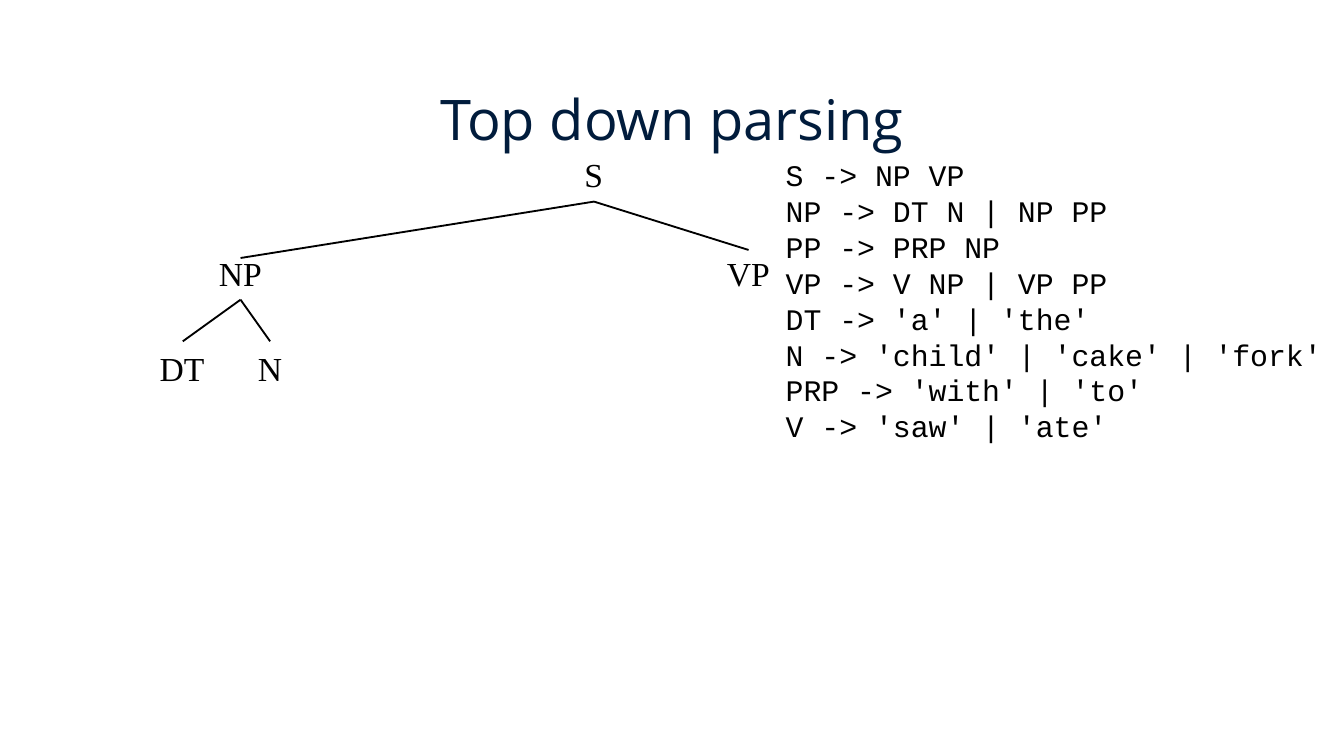
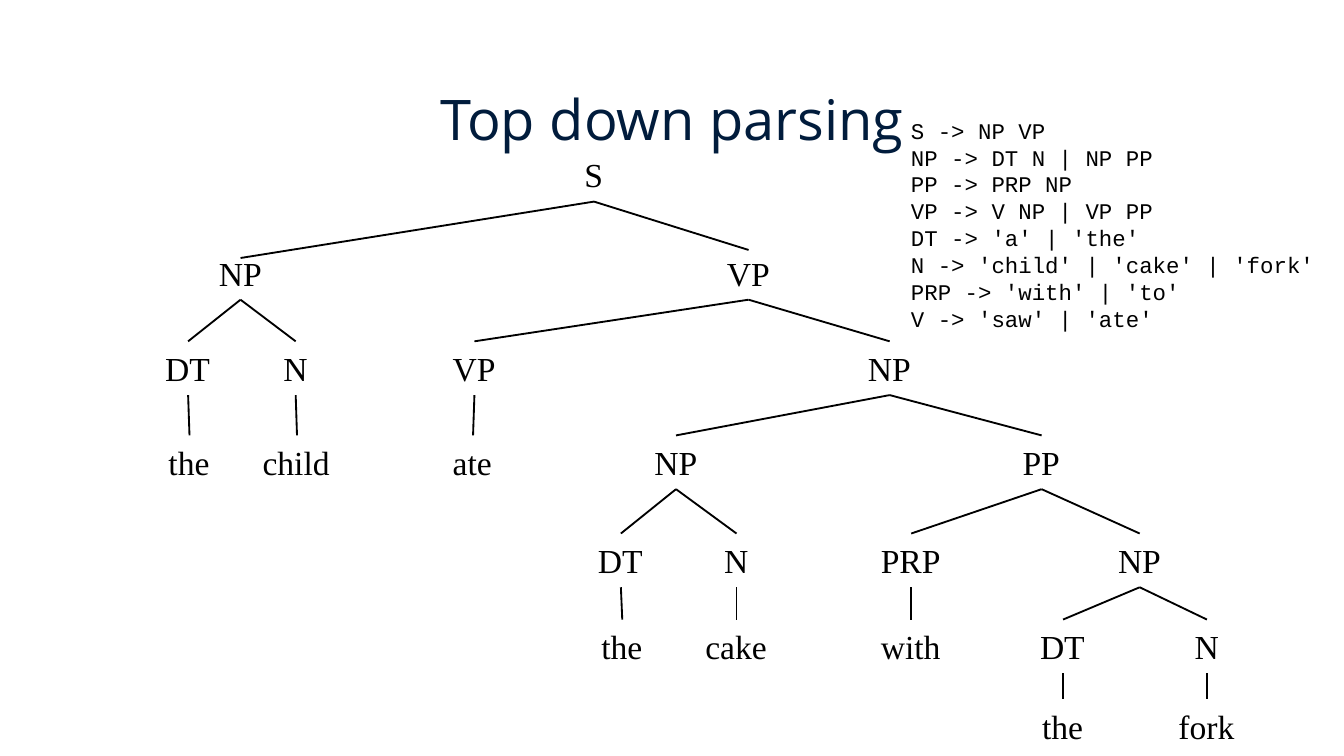
"""Build two slides that show top-down parsing with a growing syntax tree."""
from dataclasses import dataclass

from lxml import etree
from pptx import Presentation
from pptx import util as u
from pptx.dml.color import RGBColor
from pptx.enum import shapes, text
from pptx.oxml import ns


@dataclass(frozen=True)
class Theme:
    paper: RGBColor = RGBColor(0xFF, 0xFF, 0xFF)
    ink: RGBColor = RGBColor(0x00, 0x00, 0x00)
    navy: RGBColor = RGBColor(0x01, 0x1C, 0x3C)
    title_font: str = "Open Sans"
    tree_font: str = "Times New Roman"
    code_font: str = "Courier New"
    title_size: int = 30
    tree_size: int = 18
    branch_width: int = 1


theme = Theme()

SLIDE_WIDTH = 10
TITLE = "Top down parsing"
GRAMMAR = [
    "      S -> NP VP",
    "      NP -> DT N | NP PP",
    "      PP -> PRP NP",
    "      VP -> V NP | VP PP",
    "      DT -> 'a' | 'the'",
    "      N -> 'child' | 'cake' | 'fork'",
    "      PRP -> 'with' | 'to'",
    "      V -> 'saw' | 'ate'",
]

LEVEL_TOPS = [1.1, 1.83, 2.54, 3.24, 3.97, 4.61, 5.2]
NODE_HEIGHT = 0.4
NODE_WIDTHS = {
    "S": 0.34, "NP": 0.52, "VP": 0.52, "PP": 0.48, "DT": 0.54, "N": 0.38, "PRP": 0.65,
    "the": 0.51, "child": 0.71, "ate": 0.5, "cake": 0.66, "with": 0.65, "fork": 0.62,
}
BRANCH_OVERLAPS = {(1, "NP"): 0.09, (1, "VP"): 0.03}

# Each node is (label, centre, children).
first_tree = ("S", 4.42, [
    ("NP", 1.79, [("DT", 1.36, []), ("N", 2.01, [])]),
    ("VP", 5.57, []),
])
full_tree = ("S", 4.42, [
    ("NP", 1.79, [
        ("DT", 1.4, [("the", 1.41, [])]),
        ("N", 2.2, [("child", 2.21, [])]),
    ]),
    ("VP", 5.57, [
        ("VP", 3.53, [("ate", 3.52, [])]),
        ("NP", 6.62, [
            ("NP", 5.03, [
                ("DT", 4.62, [("the", 4.63, [])]),
                ("N", 5.48, [("cake", 5.48, [])]),
            ]),
            ("PP", 7.75, [
                ("PRP", 6.78, [("with", 6.78, [])]),
                ("NP", 8.48, [
                    ("DT", 7.91, [("the", 7.91, [])]),
                    ("N", 8.98, [("fork", 8.98, [])]),
                ]),
            ]),
        ]),
    ]),
])


def add_text(page, frame, lines, font, size, color, wrap=True, align=text.PP_ALIGN.LEFT):
    box = page.shapes.add_textbox(*[u.Inches(length) for length in frame])
    box.text_frame.word_wrap = wrap
    for index, line in enumerate(lines):
        para = box.text_frame.paragraphs[0] if index == 0 else box.text_frame.add_paragraph()
        para.alignment = align
        span = para.add_run()
        span.text = line
        span.font.name = font
        span.font.size = u.Pt(size)
        span.font.color.rgb = color
    return box


def add_node(page, node, depth=0, parent=None):
    label, centre, children = node
    top, width = LEVEL_TOPS[depth], NODE_WIDTHS[label]
    box = add_text(page, (centre - width / 2, top, width, NODE_HEIGHT), [label],
                   theme.tree_font, theme.tree_size, theme.ink, wrap=False)
    if parent is not None:
        overlap = BRANCH_OVERLAPS.get((depth, label), 0)
        branch = page.shapes.add_connector(
            shapes.MSO_CONNECTOR.STRAIGHT, parent.left, parent.top,
            u.Inches(centre), u.Inches(top + overlap))
        branch.begin_connect(parent, 2)
        if not overlap:
            branch.end_connect(box, 0)
        branch.line.color.rgb = theme.ink
        branch.line.width = u.Pt(theme.branch_width)
        etree.SubElement(branch._element.spPr, ns.qn("a:effectLst"))
    for child in children:
        add_node(page, child, depth + 1, box)


deck = Presentation()
deck.slide_width = u.Inches(SLIDE_WIDTH)
deck.slide_height = u.Inches(SLIDE_WIDTH * 9 / 16)

for tree, grammar_frame, grammar_size in [
    (first_tree, (4.95, 1.12, 5.05, 2.26), 16),
    (full_tree, (6.08, 0.82, 3.99, 1.72), 12),
]:
    page = deck.slides.add_slide(deck.slide_layouts[6])
    page.background.fill.solid()
    page.background.fill.fore_color.rgb = theme.paper
    add_node(page, tree)
    add_text(page, (0.5, 0.58, 9, 0.75), [TITLE], theme.title_font, theme.title_size,
             theme.navy, align=text.PP_ALIGN.CENTER)
    add_text(page, grammar_frame, GRAMMAR, theme.code_font, grammar_size, theme.ink)

deck.save("out.pptx")
